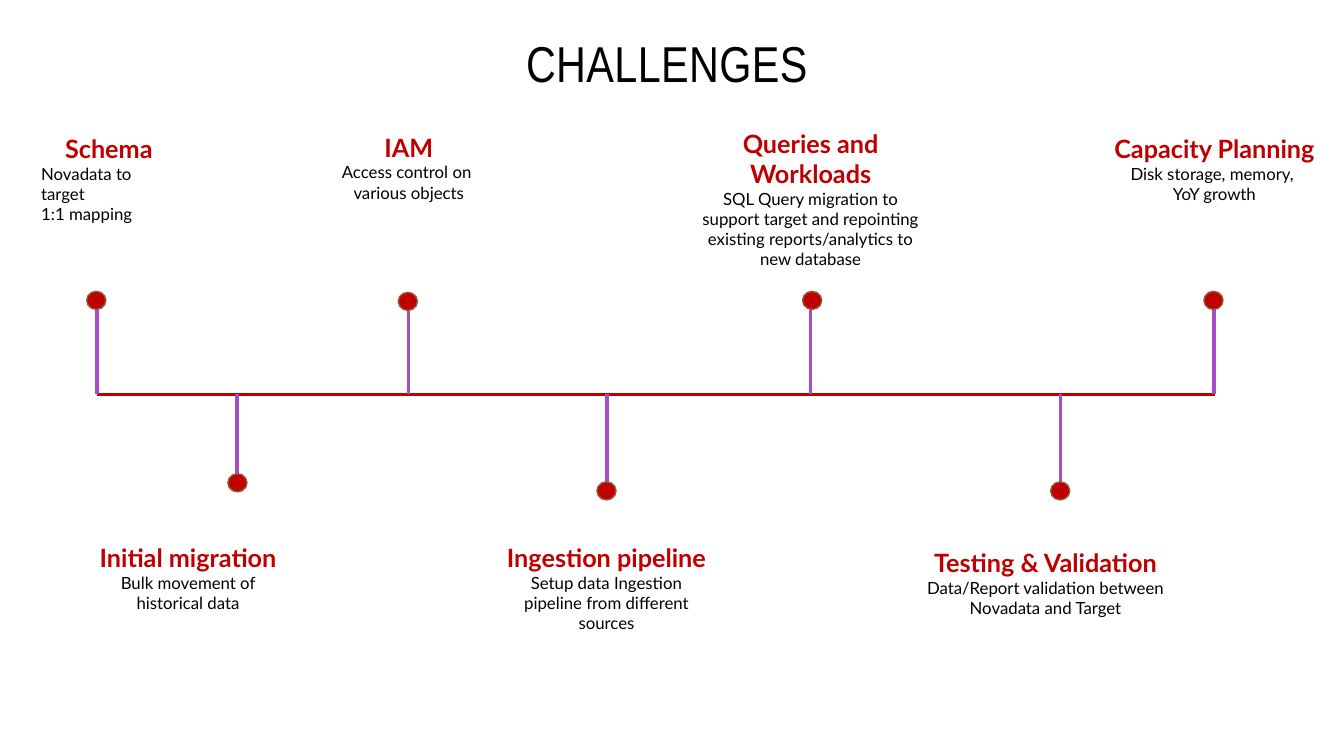
from lxml.etree import SubElement
from pptx import Presentation
from pptx.dml.color import RGBColor
from pptx.enum.shapes import MSO_CONNECTOR, MSO_SHAPE
from pptx.enum.text import MSO_ANCHOR, PP_ALIGN
from pptx.oxml.ns import qn
from pptx.util import Pt

PX = 9144  # 100 px to the inch
COLORS = {
    "heading": "C00000",
    "body": "000000",
    "stem": "A64DC3",
    "dot_edge": "905D39",
}
AXIS_Y = 391
AXIS_LEFT, AXIS_RIGHT = 96, 1205
DOT_WIDTH, DOT_HEIGHT = 19, 18

# heading, body lines, box (left, top, width, height), body alignment
CHALLENGES = [
    ("Schema", ["Novadata to target", "1:1 mapping"],
     (31, 127, 154, 81), PP_ALIGN.LEFT),
    ("Initial migration", ["Bulk movement of historical data"],
     (77, 533, 219, 81), PP_ALIGN.CENTER),
    ("IAM", ["Access control on ", "various objects"],
     (296, 126, 219, 81), PP_ALIGN.CENTER),
    ("Ingestion pipeline", ["Setup data Ingestion pipeline from different sources"],
     (492, 533, 219, 101), PP_ALIGN.CENTER),
    ("Queries and Workloads",
     ["SQL Query migration to support target and repointing existing "
      "reports/analytics to new database"],
     (677, 122, 254, 151), PP_ALIGN.CENTER),
    ("Testing & Validation", ["Data/Report validation between Novadata and Target"],
     (907, 538, 260, 81), PP_ALIGN.CENTER),
    ("Capacity Planning", ["Disk storage, memory, ", "YoY growth"],
     (1095, 127, 219, 81), PP_ALIGN.CENTER),
]

# stem x, stem end y, dot left, dot top
MILESTONES = [
    (96, 304, 86, 289),
    (235, 479, 226, 470),
    (405, 304, 395, 290),
    (602, 479, 592, 478),
    (804, 304, 796, 289),
    (1052, 478, 1042, 478),
    (1204, 304, 1194, 289),
]


def px(*lengths):
    return [length * PX for length in lengths]


def color(name):
    return RGBColor.from_string(COLORS[name])


def add_text_box(slide, box, anchor=MSO_ANCHOR.TOP):
    frame = slide.shapes.add_textbox(*px(*box)).text_frame
    frame.word_wrap = True
    frame.vertical_anchor = anchor
    return frame


def write(paragraph, text, size=12, font="Lato", fill="body", bold=False,
          align=PP_ALIGN.CENTER, spacing=None):
    paragraph.alignment = align
    run = paragraph.add_run()
    run.text = text
    run.font.size = Pt(size)
    run.font.name = font
    run.font.bold = bold
    run.font.color.rgb = color(fill)
    if spacing:
        run.font._element.set("spc", str(spacing))


def add_challenge(slide, heading, body, box, align):
    frame = add_text_box(slide, box)
    write(frame.paragraphs[0], heading, size=18, fill="heading", bold=True)
    for line in body:
        write(frame.add_paragraph(), line, align=align)


def add_line(slide, start, end, stroke, width):
    line = slide.shapes.add_connector(MSO_CONNECTOR.STRAIGHT, *px(*start, *end))
    line.line.color.rgb = color(stroke)
    line.line.width = Pt(width)
    SubElement(line._element.spPr, qn("a:effectLst"))


def add_dot(slide, left, top):
    dot = slide.shapes.add_shape(
        MSO_SHAPE.OVAL, *px(left, top, DOT_WIDTH, DOT_HEIGHT))
    dot.shadow.inherit = False
    dot.fill.solid()
    dot.fill.fore_color.rgb = color("heading")
    dot.line.color.rgb = color("dot_edge")
    dot.line.width = Pt(1)


def main():
    deck = Presentation()
    deck.slide_width, deck.slide_height = px(1333, 750)
    slide = deck.slides.add_slide(deck.slide_layouts[6])

    # Title
    title = add_text_box(slide, (77, 24, 1169, 75), anchor=MSO_ANCHOR.MIDDLE)
    write(title.paragraphs[0], "CHALLENGES", size=36, font="Arial Narrow", spacing=30)

    # Challenge texts
    for challenge in CHALLENGES:
        add_challenge(slide, *challenge)

    # Timeline axis, then its stems, then the dots on top
    add_line(slide, (AXIS_LEFT, AXIS_Y), (AXIS_RIGHT, AXIS_Y), "heading", 2)
    for x, end_y, _, _ in MILESTONES:
        add_line(slide, (x, AXIS_Y), (x, end_y), "stem", 2.5)
    for _, _, left, top in MILESTONES:
        add_dot(slide, left, top)

    deck.save("out.pptx")


if __name__ == "__main__":
    main()
